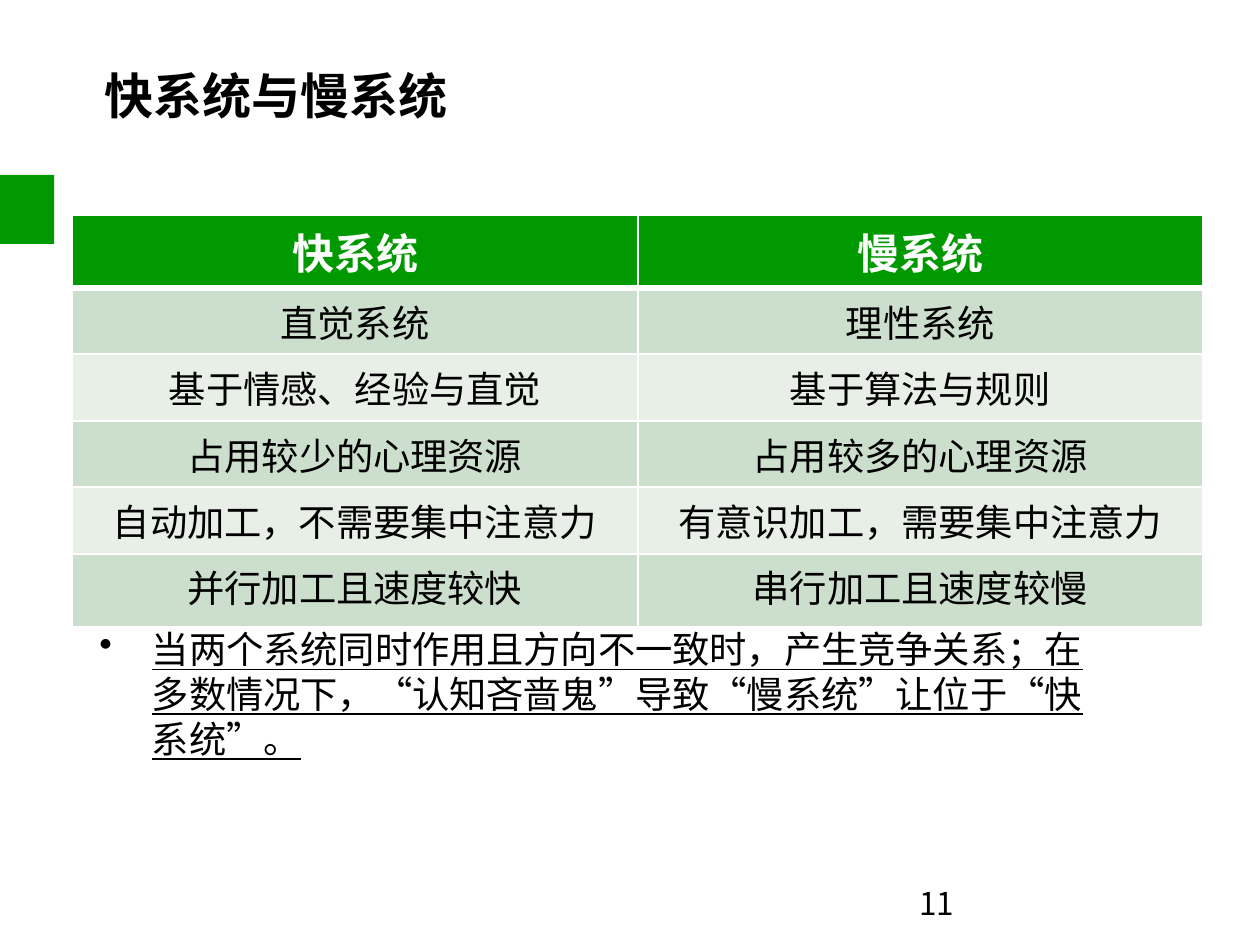
"""Build the slide that contrasts the fast and slow thinking systems."""
from lxml import etree
from pptx import Presentation
from pptx.dml.color import RGBColor
from pptx.enum.shapes import MSO_SHAPE
from pptx.enum.text import PP_ALIGN
from pptx.oxml.ns import qn
from pptx.util import Pt

RECTANGLE = MSO_SHAPE.RECTANGLE
LEFT, CENTER = PP_ALIGN.LEFT, PP_ALIGN.CENTER
FONT = "Noto Sans CJK SC"
COLORS = {
    "green": "009900",
    "dark_band": "CCDECC",
    "light_band": "E7EFE7",
    "white": "FFFFFF",
    "black": "000000",
}


def write_text(frame, text, size, color="black", bold=False, underline=False,
               align=LEFT, bullet=None, indent=0):
    frame.word_wrap = True
    para = frame.paragraphs[0]
    para.alignment = align
    if bullet:
        properties = para._p.get_or_add_pPr()
        properties.set("marL", str(Pt(indent)))
        properties.set("indent", str(-Pt(indent)))
        etree.SubElement(properties, qn("a:buChar"), char=bullet)
    span = para.add_run()
    span.text = text
    span.font.size = Pt(size)
    span.font.name = FONT
    span.font.bold = bold
    span.font.underline = underline
    span.font.color.rgb = RGBColor.from_string(COLORS[color])
    etree.SubElement(span._r.get_or_add_rPr(), qn("a:ea"), typeface=FONT)


def add_border(cell, side, width):
    line = etree.SubElement(cell._tc.get_or_add_tcPr(), qn(f"a:{side}"), w=str(Pt(width)))
    fill = etree.SubElement(line, qn("a:solidFill"))
    etree.SubElement(fill, qn("a:srgbClr"), val=COLORS["white"])


deck = Presentation()
deck.slide_width, deck.slide_height = Pt(540), Pt(405)
page = deck.slides.add_slide(deck.slide_layouts[6])

title = page.shapes.add_textbox(Pt(37.7), Pt(24.5), Pt(486), Pt(67.7))
write_text(title.text_frame, "快系统与慢系统", 21, bold=True)

marker = page.shapes.add_shape(RECTANGLE, Pt(0), Pt(75), Pt(23.3), Pt(29.6))
marker.shadow.inherit = False
marker.fill.solid()
marker.fill.fore_color.rgb = RGBColor.from_string(COLORS["green"])
marker.line.fill.background()

comparison = [
    ("快系统", "慢系统"),
    ("直觉系统", "理性系统"),
    ("基于情感、经验与直觉", "基于算法与规则"),
    ("占用较少的心理资源", "占用较多的心理资源"),
    ("自动加工，不需要集中注意力", "有意识加工，需要集中注意力"),
    ("并行加工且速度较快", "串行加工且速度较慢"),
]
row_heights = [31.3, 28.5, 28.5, 28.5, 28.5, 31.6]
table = page.shapes.add_table(len(comparison), 2, Pt(31), Pt(92),
                              Pt(484.6), Pt(sum(row_heights))).table
for column in table.columns:
    column.width = Pt(242.3)
for row, (height, texts) in enumerate(zip(row_heights, comparison)):
    table.rows[row].height = Pt(height)
    header = row == 0
    band = "green" if header else "dark_band" if row % 2 else "light_band"
    for column, text in enumerate(texts):
        cell = table.cell(row, column)
        cell.margin_left = cell.margin_right = Pt(5.2)
        cell.margin_top = cell.margin_bottom = Pt(2.7)
        write_text(cell.text_frame, text, 18 if header else 16, bold=header,
                   color="white" if header else "black", align=CENTER)
        add_border(cell, "lnL", 1)
        add_border(cell, "lnR", 1)
        add_border(cell, "lnT", 3 if row == 1 else 1)
        add_border(cell, "lnB", 3 if header else 1)
        cell.fill.solid()
        cell.fill.fore_color.rgb = RGBColor.from_string(COLORS[band])

conclusion = page.shapes.add_textbox(Pt(35.5), Pt(265), Pt(440.6), Pt(65.5))
write_text(
    conclusion.text_frame,
    "当两个系统同时作用且方向不一致时，产生竞争关系；在多数情况下，"
    "“认知吝啬鬼”导致“慢系统”让位于“快系统”。",
    16, underline=True, bullet="•", indent=22.5)

page_number = page.shapes.add_textbox(Pt(386.9), Pt(375.3), Pt(126), Pt(21.6))
write_text(page_number.text_frame, "11", 13.5)

deck.save("out.pptx")
